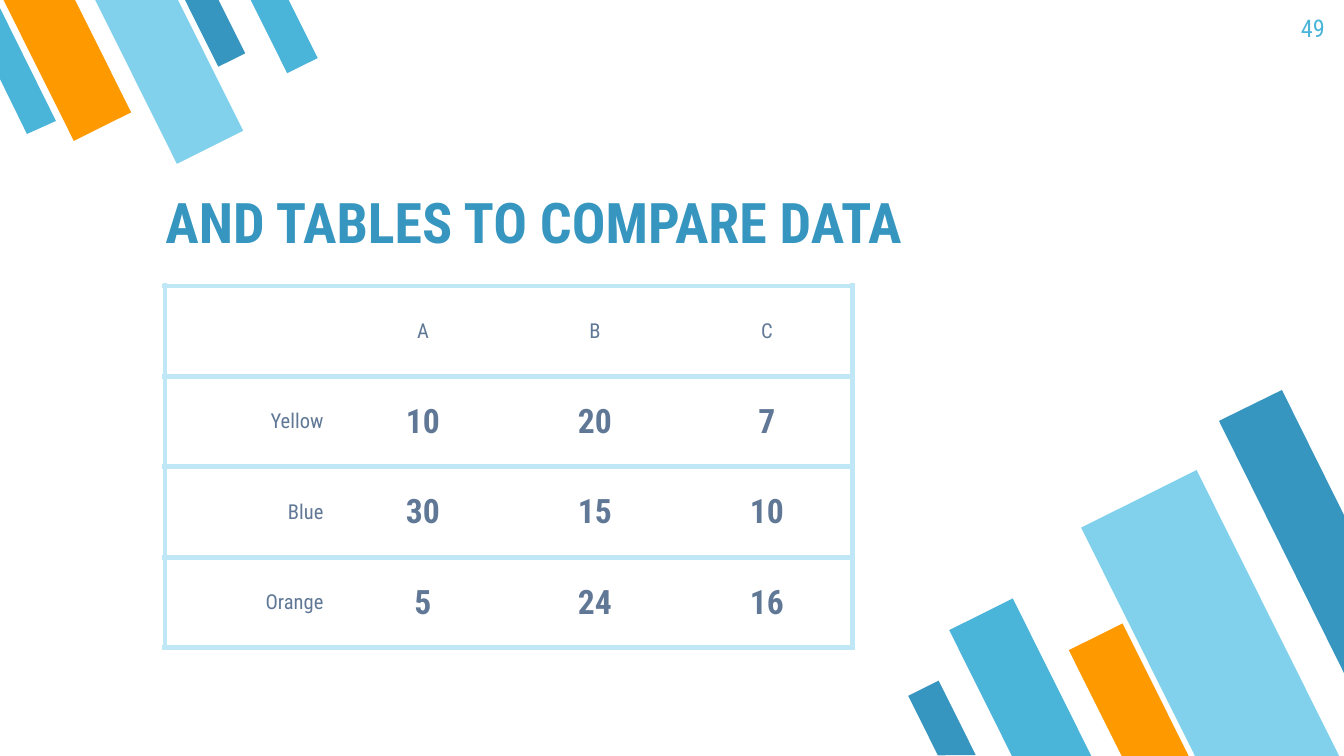
from dataclasses import dataclass

import pptx
import pptx.dml.color
import pptx.enum.shapes
import pptx.enum.text
import pptx.oxml
import pptx.oxml.ns
import pptx.util

EMU_PER_PX = 914400 / 134.4
FONT = "Roboto Condensed"
COLORS = {
    "deep": "3796BF",
    "blue": "4BB5D9",
    "sky": "81D1EC",
    "orange": "FF9900",
    "border": "C0E7F6",
    "text": "607896",
}
ALIGN = pptx.enum.text.PP_ALIGN
ANCHOR = pptx.enum.text.MSO_ANCHOR


@dataclass(frozen=True)
class Bar:
    left: int
    top: int
    width: int
    height: int
    color: str


@dataclass(frozen=True)
class ClippedBar:
    """A bar cut off by the side of the page, given by its corners."""
    corners: tuple[tuple[int, int], ...]
    color: str


LOWER_BARS = [
    Bar(985, 605, 71, 177, "blue"),
    Bar(1146, 482, 129, 321, "sky"),
    Bar(1099, 629, 60, 149, "orange"),
    Bar(925, 684, 34, 83, "deep"),
]
UPPER_BARS = [
    Bar(200, -11, 30, 75, "deep"),
    Bar(35, -24, 64, 159, "orange"),
    Bar(132, -27, 74, 184, "sky"),
    Bar(267, -13, 34, 83, "blue"),
]
LOWER_CLIPPED = ClippedBar(((1282, 390), (1219, 421), (1344, 673), (1344, 515)), "deep")
UPPER_CLIPPED = ClippedBar(((27, 134), (56, 121), (0, 8), (0, 79)), "blue")

TABLE_ROWS = [
    ("", "A", "B", "C"),
    ("Yellow", "10", "20", "7"),
    ("Blue", "30", "15", "10"),
    ("Orange", "5", "24", "16"),
]


def px(length: float) -> int:
    return round(length * EMU_PER_PX)


def rgb(color: str) -> pptx.dml.color.RGBColor:
    return pptx.dml.color.RGBColor.from_string(COLORS[color])


def paint(shape, color: str) -> None:
    shape.shadow.inherit = False
    shape.fill.solid()
    shape.fill.fore_color.rgb = rgb(color)
    shape.line.fill.background()


def draw_bar(page, bar: Bar, rotation: float) -> None:
    shape = page.shapes.add_shape(
        pptx.enum.shapes.MSO_SHAPE.FLOWCHART_MANUAL_INPUT,
        px(bar.left), px(bar.top), px(bar.width), px(bar.height),
    )
    shape.rotation = rotation
    shape.element.spPr.xfrm.set("flipH", "1")
    paint(shape, bar.color)


def draw_clipped_bar(page, bar: ClippedBar) -> None:
    start, *others = bar.corners
    builder = page.shapes.build_freeform(*start, scale=EMU_PER_PX)
    builder.add_line_segments(others, close=True)
    paint(builder.convert_to_shape(), bar.color)


def write(frame, text: str, size: int, color: str, align, bold: bool = False) -> None:
    frame.text = text
    paragraph = frame.paragraphs[0]
    paragraph.alignment = align
    paragraph.font.size = pptx.util.Pt(size)
    for span in paragraph.runs:
        span.font.name = FONT
        span.font.size = pptx.util.Pt(size)
        span.font.bold = bold
        span.font.color.rgb = rgb(color)


def set_insets(frame) -> None:
    inset = pptx.util.Inches(0.1)
    frame.margin_left = frame.margin_right = inset
    frame.margin_top = frame.margin_bottom = inset
    frame.word_wrap = True
    frame.auto_size = pptx.enum.text.MSO_AUTO_SIZE.NONE


def set_borders(cell, visible_sides: str) -> None:
    """Draw the sides named by their letters out of LRTB and hide the others."""
    properties = cell._tc.get_or_add_tcPr()
    for side in "LRTB":
        fill = "<a:noFill/>"
        if side in visible_sides:
            fill = f'<a:solidFill><a:srgbClr val="{COLORS["border"]}"/></a:solidFill>'
        properties.append(pptx.oxml.parse_xml(
            f'<a:ln{side} {pptx.oxml.ns.nsdecls("a")} w="{pptx.util.Pt(3)}">'
            f"{fill}</a:ln{side}>"
        ))


def draw_table(page) -> None:
    last = len(TABLE_ROWS[0]) - 1
    frame = page.shapes.add_table(
        len(TABLE_ROWS), last + 1, px(165), px(286), px(688), px(362)
    )
    table = frame.table
    table.first_row = table.horz_banding = False
    for row, texts in enumerate(TABLE_ROWS):
        for column, text in enumerate(texts):
            cell = table.cell(row, column)
            is_value = row > 0 and column > 0
            align = ALIGN.CENTER if column else ALIGN.RIGHT
            write(cell.text_frame, text, 18 if is_value else 11, "text", align, is_value)
            cell.vertical_anchor = ANCHOR.MIDDLE
            cell.margin_left = cell.margin_right = pptx.util.Inches(0.1)
            cell.margin_top = cell.margin_bottom = pptx.util.Inches(0.07)
            set_borders(cell, "TB" + {0: "L", last: "R"}.get(column, ""))
            cell.fill.background()


def draw_title(page) -> None:
    title = page.shapes.title
    title.left, title.top, title.width, title.height = px(152), px(169), px(847), px(99)
    set_insets(title.text_frame)
    title.text_frame.vertical_anchor = ANCHOR.BOTTOM
    write(title.text_frame, "AND TABLES TO COMPARE DATA", 30, "deep", ALIGN.LEFT, True)


def draw_page_number(page) -> None:
    box = page.shapes.add_textbox(px(1258), 0, px(80), px(58))
    set_insets(box.text_frame)
    write(box.text_frame, "49", 13, "blue", ALIGN.RIGHT)


def main() -> None:
    deck = pptx.Presentation()
    deck.slide_width, deck.slide_height = px(1344), px(756)
    page = deck.slides.add_slide(deck.slide_layouts.get_by_name("Title Only"))
    for bars, clipped, rotation in (
        (LOWER_BARS, LOWER_CLIPPED, 153.5),
        (UPPER_BARS, UPPER_CLIPPED, 333.5),
    ):
        for bar in bars:
            draw_bar(page, bar, rotation)
        draw_clipped_bar(page, clipped)
    draw_title(page)
    draw_table(page)
    draw_page_number(page)
    deck.save("out.pptx")


if __name__ == "__main__":
    main()
